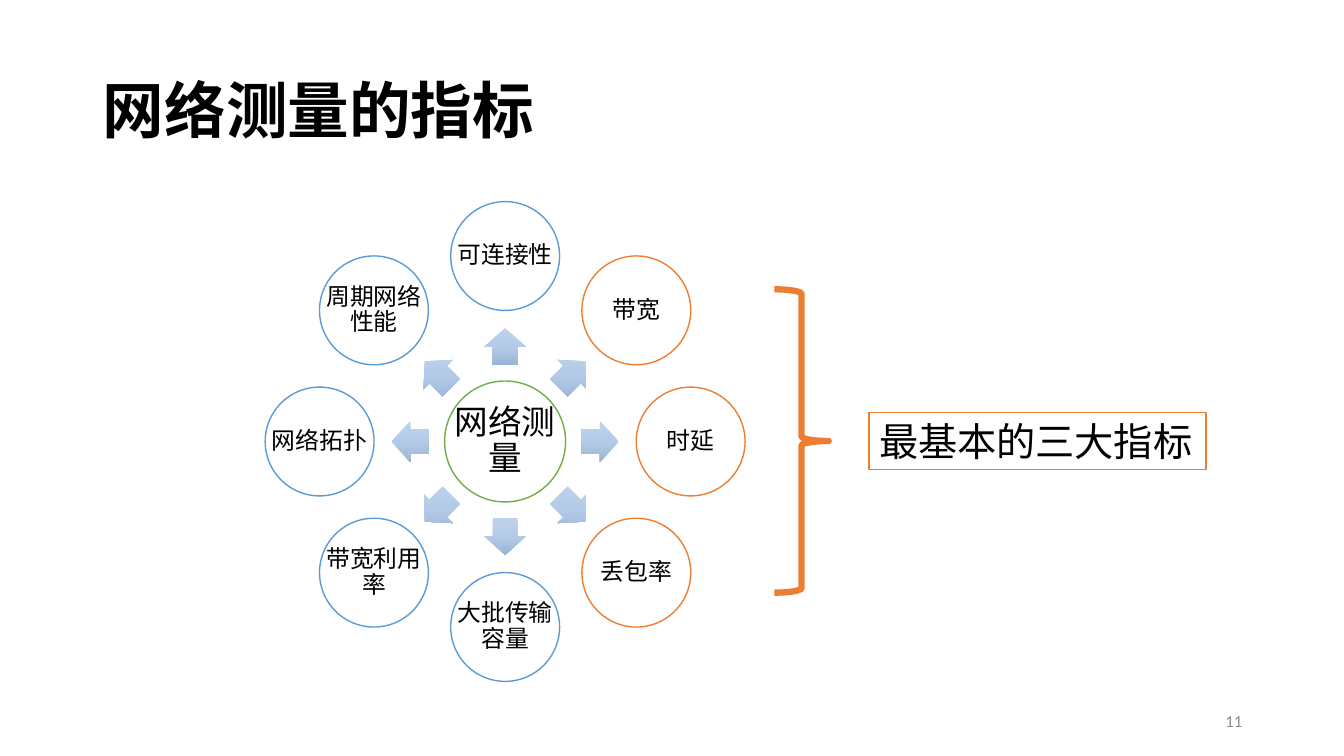
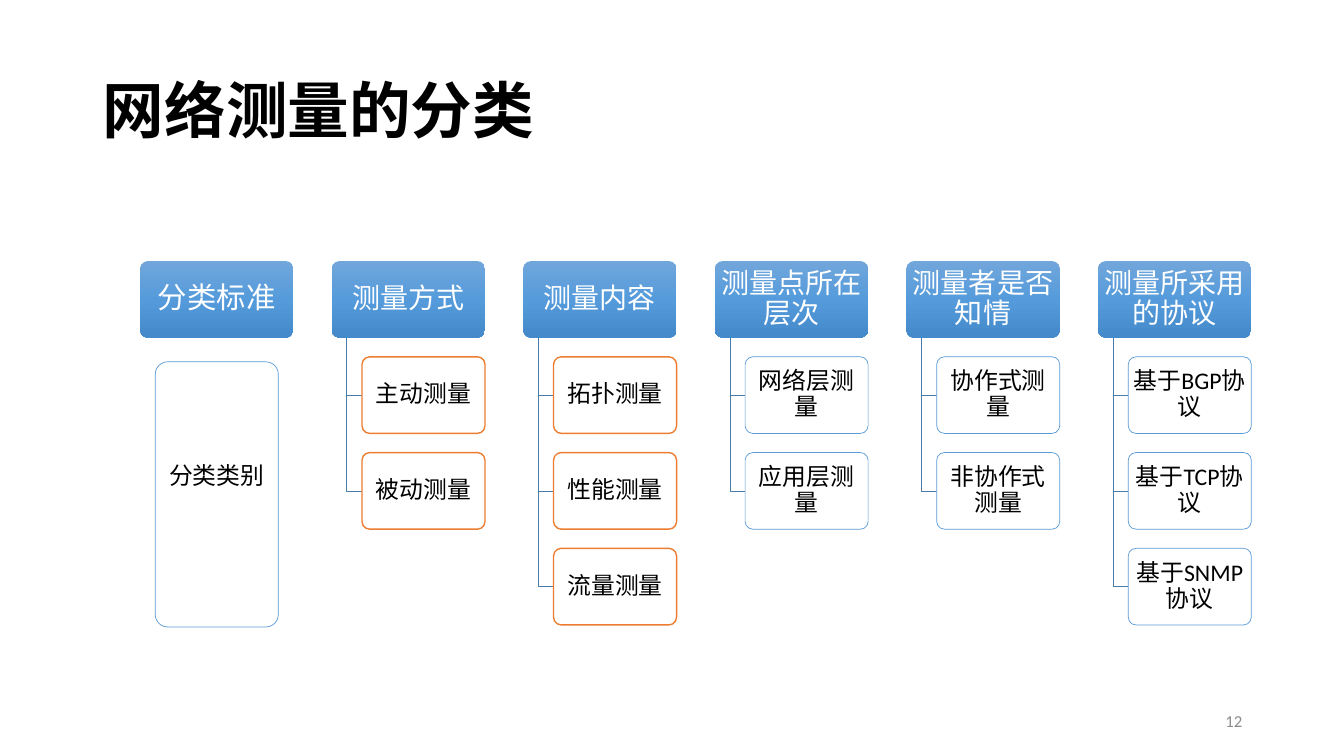
from copy import deepcopy
from dataclasses import dataclass
from math import cos, radians, sin

from pptx import Presentation
from pptx.dml.color import RGBColor
from pptx.enum.shapes import MSO_SHAPE as Shape
from pptx.enum.text import MSO_ANCHOR as Anchor, MSO_AUTO_SIZE as AutoSize, PP_ALIGN as Align
from pptx.oxml.ns import qn
from pptx.util import Pt

PX = 9144  # one px is a hundredth of an inch


@dataclass(frozen=True)
class Theme:
    latin: str = "Calibri"
    chinese: str = "Noto Sans CJK SC"
    black: str = "000000"
    white: str = "FFFFFF"
    grey: str = "8C8C8C"
    blue: str = "5B9BD5"
    orange: str = "ED7D31"
    green: str = "70AD47"
    branch: str = "497CAB"
    arrow: tuple = ("C0D2EB", "B3CBE9", "9BB4D3")
    heading: tuple = ("71A6DB", "559BDB", "448ACA")
    title_size: int = 44
    callout_size: int = 28
    hub_size: int = 24
    key_size: int = 21
    heading_size: int = 20
    item_size: int = 17
    number_size: int = 12


THEME = Theme()

METRICS = [  # clockwise from the top
    ("可连接性", THEME.blue), ("带宽", THEME.orange), ("时延", THEME.orange),
    ("丢包率", THEME.orange), ("大批传输容量", THEME.blue), ("带宽利用率", THEME.blue),
    ("网络拓扑", THEME.blue), ("周期网络性能", THEME.blue),
]
CATEGORIES = [
    ("测量方式", ["主动测量", "被动测量"], THEME.orange),
    ("测量内容", ["拓扑测量", "性能测量", "流量测量"], THEME.orange),
    ("测量点所在层次", ["网络层测量", "应用层测量"], THEME.blue),
    ("测量者是否知情", ["协作式测量", "非协作式测量"], THEME.blue),
    ("测量所采用的协议", ["基于BGP协议", "基于TCP协议", "基于SNMP协议"], THEME.blue),
]


# Shared drawing helpers
def emu(*lengths):
    return [round(length * PX) for length in lengths]


def write(shape, text, size, colour=THEME.black, align=Align.CENTER, margins=None,
          latin=THEME.latin, bold=False, spacing=0.9):
    """Fill a shape with one formatted paragraph; margins are left, top, right, bottom."""
    frame = shape.text_frame
    frame.text = text
    frame.word_wrap = True
    frame.auto_size = AutoSize.NONE
    frame.vertical_anchor = Anchor.MIDDLE
    if margins:
        (frame.margin_left, frame.margin_top,
         frame.margin_right, frame.margin_bottom) = emu(*margins)
    para = frame.paragraphs[0]
    para.alignment = align
    para.line_spacing = spacing
    span = para.runs[0]
    span.font.name = latin
    span.font.size = Pt(size)
    span.font.bold = bold
    span.font.color.rgb = RGBColor.from_string(colour)
    properties = span.font._element
    properties.set("lang", "zh-CN")
    east_asian = properties.makeelement(qn("a:ea"), {"typeface": THEME.chinese})
    properties.find(qn("a:latin")).addnext(east_asian)


def outline(shape, colour, width=1):
    shape.line.color.rgb = RGBColor.from_string(colour)
    shape.line.width = Pt(width)


def add_outlined(page, kind, box, colour, width=1, filled=True):
    shape = page.shapes.add_shape(kind, *emu(*box))
    shape.shadow.inherit = False
    if filled:
        shape.fill.solid()
        shape.fill.fore_color.rgb = RGBColor.from_string(THEME.white)
    else:
        shape.fill.background()
    outline(shape, colour, width)
    return shape


def add_shaded(page, kind, box, colours):
    """Add a borderless shape shaded from top to bottom through three colours."""
    shape = page.shapes.add_shape(kind, *emu(*box))
    shape.shadow.inherit = False
    shape.line.fill.background()
    shape.fill.gradient()
    shape.fill.gradient_angle = 270
    gradient = shape.element.spPr.find(qn("a:gradFill"))
    gradient.set("rotWithShape", "0")
    stops = gradient.find(qn("a:gsLst"))
    stops.insert(1, deepcopy(stops[0]))
    for stop, position, colour in zip(shape.fill.gradient_stops, (0, 0.5, 1), colours):
        stop.position = position
        stop.color.rgb = RGBColor.from_string(colour)
    return shape


def start_page(deck, title, number):
    """Add a page with its title and page number."""
    page = deck.slides.add_slide(deck.slide_layouts[5])
    heading = page.shapes.title
    heading.left, heading.top, heading.width, heading.height = emu(92, 40, 1150, 145)
    write(heading, title, THEME.title_size, align=Align.LEFT,
          latin=THEME.chinese, bold=True)
    footer = page.shapes.add_textbox(*emu(942, 695, 300, 40))
    write(footer, str(number), THEME.number_size, THEME.grey, Align.RIGHT, spacing=1)
    return page


# Radial diagram
def centred(x, y, width, height):
    return x - width / 2, y - height / 2, width, height


def add_circle(page, x, y, diameter, text, size, colour):
    box = centred(x, y, diameter, diameter)
    add_outlined(page, Shape.OVAL, box, colour)
    # The label spans the whole circle, wider than an oval's own text area
    label = page.shapes.add_textbox(*emu(*box))
    write(label, text, size, margins=(2, 2, 2, 2))


def add_wheel(page, left, top, diameter):
    satellite = 108
    orbit = (diameter - satellite) / 2
    x, y = left + diameter / 2, top + diameter / 2
    add_circle(page, x, y, 120, "网络测量", THEME.hub_size, THEME.green)
    for index, (text, colour) in enumerate(METRICS):
        angle = index * 360 / len(METRICS) - 90
        across, down = cos(radians(angle)), sin(radians(angle))
        arrow_box = centred(x + 94 * across, y + 94 * down, 37, 41)
        arrow = add_shaded(page, Shape.RIGHT_ARROW, arrow_box, THEME.arrow)
        arrow.adjustments[0] = 0.6
        arrow.adjustments[1] = 0.5
        arrow.rotation = angle % 360
        add_circle(page, x + orbit * across, y + orbit * down, satellite,
                   text, THEME.item_size, colour)


def add_summary(page, left, top, height):
    """Add the brace and the callout at its tip."""
    add_outlined(page, Shape.RIGHT_BRACE, (left, top, 54, height),
                 THEME.orange, 4.5, filled=False)
    box = (left + 94, top + (height - 57) / 2, 334, 57)
    callout = add_outlined(page, Shape.RECTANGLE, box, THEME.orange)
    write(callout, "最基本的三大指标", THEME.callout_size, align=Align.LEFT, spacing=1)
    callout.text_frame.word_wrap = False
    callout.text_frame.auto_size = AutoSize.SHAPE_TO_FIT_TEXT


# Classification columns
HEADING_WIDTH, CARD_WIDTH, CARD_HEIGHT = 152, 122, 76
COLUMN_PITCH, ROW_PITCH = 190, 95


def add_heading(page, left, top, text, size=THEME.heading_size):
    box = (left, top, HEADING_WIDTH, CARD_HEIGHT)
    heading = add_shaded(page, Shape.ROUNDED_RECTANGLE, box, THEME.heading)
    heading.adjustments[0] = 0.1
    write(heading, text, size, THEME.white, margins=(2, 2, 2, 2))


def add_card(page, box, text, colour, bottom=1):
    width = 1 if colour == THEME.orange else 0.5
    card = add_outlined(page, Shape.ROUNDED_RECTANGLE, box, colour, width)
    card.adjustments[0] = 0.1
    write(card, text, THEME.item_size, margins=(2, 1, 2, bottom))


def add_branch(page, x, top, right, bottom):
    builder = page.shapes.build_freeform(x, top, scale=PX)
    builder.add_line_segments([(x, bottom), (right, bottom)], close=False)
    branch = builder.convert_to_shape()
    branch.shadow.inherit = False
    branch.fill.background()
    outline(branch, THEME.branch, 0.5)


def add_column(page, left, top, heading, items, colour):
    add_heading(page, left, top, heading)
    card_left = left + HEADING_WIDTH - CARD_WIDTH
    for row, item in enumerate(items, start=1):
        card_top = top + row * ROW_PITCH
        add_branch(page, left + 15, top + CARD_HEIGHT,
                   card_left, card_top + CARD_HEIGHT // 2)
        add_card(page, (card_left, card_top, CARD_WIDTH, CARD_HEIGHT), item, colour)


def add_classification(page, left, top):
    # Key column
    add_heading(page, left, top, "分类标准", THEME.key_size)
    add_card(page, (left + 15, top + 100, CARD_WIDTH, 263), "分类类别",
             THEME.blue, bottom=36)
    # One column per criterion
    for index, (heading, items, colour) in enumerate(CATEGORIES, start=1):
        add_column(page, left + index * COLUMN_PITCH, top, heading, items, colour)


def main():
    deck = Presentation()
    deck.slide_width, deck.slide_height = emu(1333, 750)

    metrics_page = start_page(deck, "网络测量的指标", 11)
    add_wheel(metrics_page, 263, 200, 476)
    add_summary(metrics_page, 768, 287, 301)

    classes_page = start_page(deck, "网络测量的分类", 12)
    add_classification(classes_page, 139, 259)

    deck.save("out.pptx")


if __name__ == "__main__":
    main()
